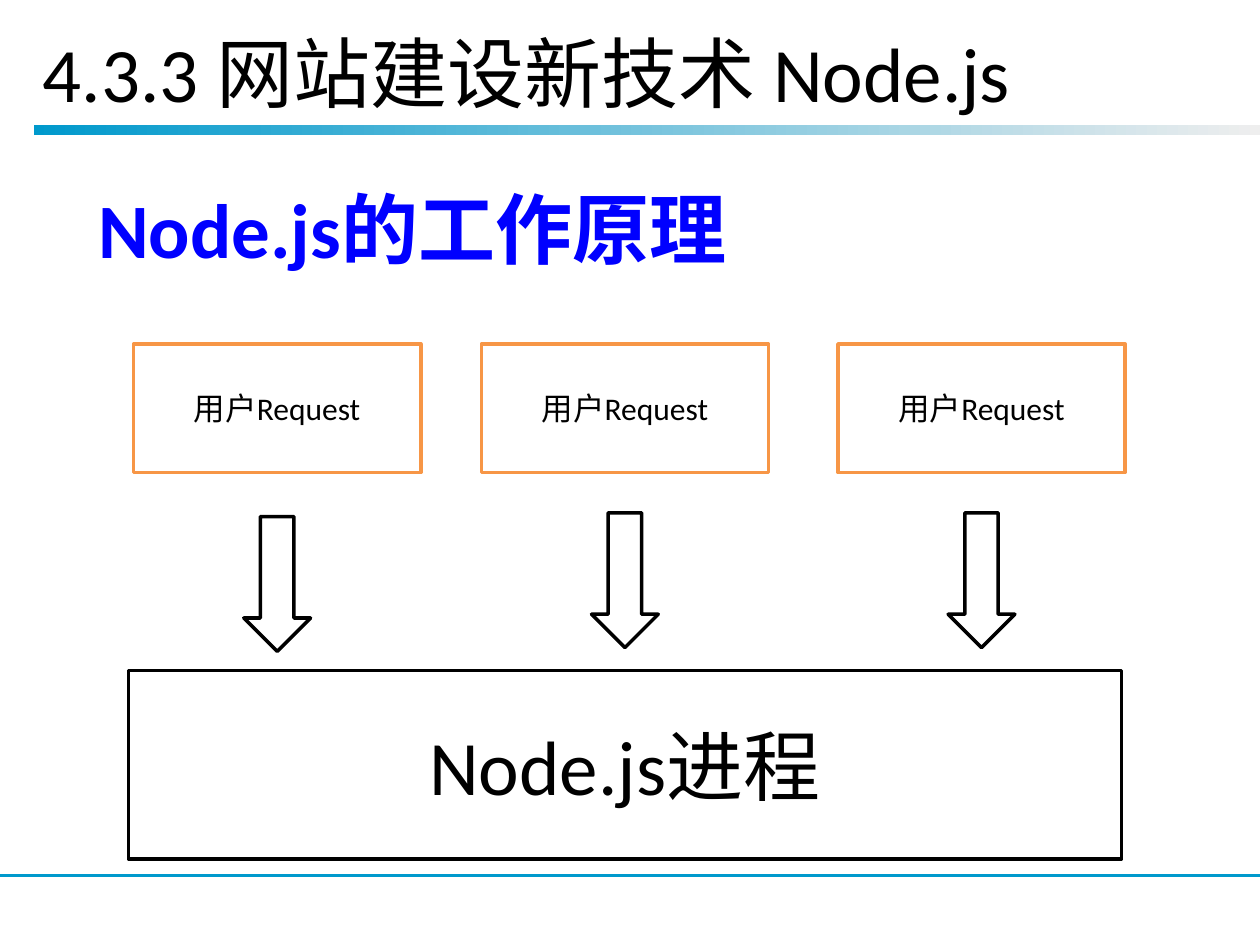
from dataclasses import dataclass

from lxml import etree
from pptx import Presentation
from pptx.dml.color import RGBColor
from pptx.enum.shapes import MSO_CONNECTOR, MSO_SHAPE
from pptx.enum.text import MSO_ANCHOR, MSO_AUTO_SIZE, PP_ALIGN
from pptx.oxml.ns import qn
from pptx.util import Inches, Pt

RECTANGLE, DOWN_ARROW = MSO_SHAPE.RECTANGLE, MSO_SHAPE.DOWN_ARROW
STRAIGHT = MSO_CONNECTOR.STRAIGHT
TOP, MIDDLE = MSO_ANCHOR.TOP, MSO_ANCHOR.MIDDLE
LEFT, CENTER = PP_ALIGN.LEFT, PP_ALIGN.CENTER
NO_AUTOFIT = MSO_AUTO_SIZE.NONE


@dataclass(frozen=True)
class Theme:
    font: str = "Calibri"
    black: RGBColor = RGBColor(0, 0, 0)
    white: RGBColor = RGBColor(255, 255, 255)
    blue: RGBColor = RGBColor(0, 0, 255)
    teal: RGBColor = RGBColor(0x00, 0x99, 0xCC)
    pale_grey: RGBColor = RGBColor(0xEE, 0xEE, 0xEE)
    orange: RGBColor = RGBColor(0xF7, 0x96, 0x46)
    heading_size: Pt = Pt(44)
    label_size: Pt = Pt(18)
    outline: Pt = Pt(2)
    rule: Pt = Pt(1.5)


theme = Theme()


def write_text(shape, text, size, color, alignment, anchor, bold=False):
    frame = shape.text_frame
    frame.word_wrap = True
    frame.auto_size = NO_AUTOFIT
    frame.vertical_anchor = anchor
    paragraph = frame.paragraphs[0]
    paragraph.text = text
    paragraph.alignment = alignment
    paragraph.space_before = Pt(0)
    paragraph.font.name = theme.font
    paragraph.font.size = size
    paragraph.font.bold = bold
    paragraph.font.color.rgb = color
    return paragraph


def add_outlined(kind, left, top, width, height, color):
    shape = slide.shapes.add_shape(
        kind, Inches(left), Inches(top), Inches(width), Inches(height))
    shape.shadow.inherit = False
    shape.fill.solid()
    shape.fill.fore_color.rgb = theme.white
    shape.line.color.rgb = color
    shape.line.width = theme.outline
    return shape


presentation = Presentation()
presentation.slide_width = Inches(10)
presentation.slide_height = Inches(7.5)
slide = presentation.slides.add_slide(presentation.slide_layouts[1])

# Title
title = slide.shapes.title
title.left, title.top = Inches(0.24), Inches(0.15)
title.width, title.height = Inches(9.64), Inches(0.84)
write_text(title, "4.3.3 网站建设新技术 Node.js", theme.heading_size,
           theme.black, LEFT, TOP)

# Gradient bar under the title
bar = slide.shapes.add_shape(
    RECTANGLE, Inches(0.27), Inches(0.99), Inches(9.73), Inches(0.08))
bar.shadow.inherit = False
bar.line.fill.background()
bar.fill.gradient()
bar.fill.gradient_angle = 0
for stop, color in zip(bar.fill.gradient_stops, (theme.teal, theme.pale_grey)):
    stop.color.rgb = color

# Footer rule
footer_rule = slide.shapes.add_connector(
    STRAIGHT, Inches(0), Inches(6.95), Inches(10), Inches(6.95))
footer_rule.line.color.rgb = theme.teal
footer_rule.line.width = theme.rule
etree.SubElement(footer_rule._element.spPr, qn("a:effectLst"))

# Section heading
body = slide.placeholders[1]
body.left, body.top = Inches(0.59), Inches(1.39)
body.width, body.height = Inches(8.84), Inches(5.12)
body.text_frame.margin_left = Inches(0.19)
heading_properties = body.text_frame.paragraphs[0]._p.get_or_add_pPr()
heading_properties.set("marL", "0")
heading_properties.set("indent", "0")
etree.SubElement(heading_properties, qn("a:buNone"))
write_text(body, "Node.js的工作原理", theme.heading_size, theme.blue, LEFT, TOP,
           bold=True)

# User requests, each with an arrow centred below
request_width, arrow_width = 2.28, 0.53
for left, arrow_top in ((1.06, 4.1), (3.82, 4.07), (6.65, 4.07)):
    request = add_outlined(
        RECTANGLE, left, 2.73, request_width, 1.02, theme.orange)
    write_text(request, "用户Request", theme.label_size, theme.black,
               CENTER, MIDDLE)
    arrow_left = left + (request_width - arrow_width) / 2
    add_outlined(DOWN_ARROW, arrow_left, arrow_top, arrow_width, 1.07,
                 theme.black)

# Process that receives the requests
process = add_outlined(RECTANGLE, 1.02, 5.32, 7.88, 1.5, theme.black)
write_text(process, "Node.js进程", theme.heading_size, theme.black,
           CENTER, MIDDLE)

presentation.save("out.pptx")
